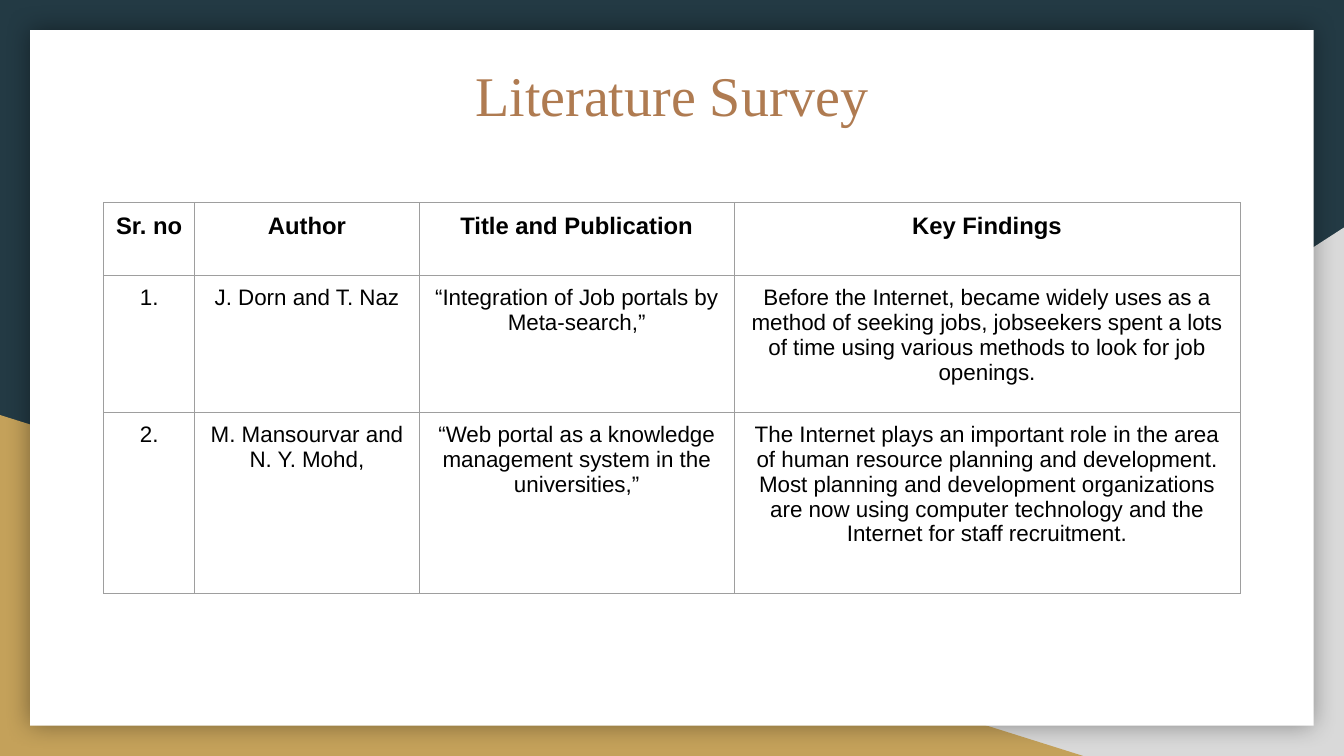
import pptx
import pptx.util
import pptx.dml.color
import pptx.enum.shapes
import pptx.enum.text
import pptx.oxml
import pptx.oxml.ns

SHAPE = pptx.enum.shapes.MSO_SHAPE
CENTER = pptx.enum.text.PP_ALIGN.CENTER
Inches = pptx.util.Inches
W, H = 13.33, 7.5
COLORS = {
    "navy": "233A44",
    "gray": "D9D9D9",
    "gold": "C4A15A",
    "white": "FFFFFF",
    "copper": "AF7B51",
    "black": "000000",
    "grid": "9E9E9E",
}
COLUMNS = [0.9, 2.23, 3.12, 5.02]
ROWS = [0.72, 1.36, 1.8]
SURVEY = [
    ["Sr. no", "Author", "Title and Publication", "Key Findings"],
    [
        "1.",
        "J. Dorn and T. Naz",
        "“Integration of Job portals by Meta-search,”",
        "Before the Internet, became widely uses as a method of seeking jobs, "
        "jobseekers spent a lots of time using various methods to look for job openings.",
    ],
    [
        "2.",
        "M. Mansourvar and N. Y. Mohd,",
        "“Web portal as a knowledge management system in the universities,”",
        "The Internet plays an important role in the area of human resource planning "
        "and development. Most planning and development organizations are now using "
        "computer technology and the Internet for staff recruitment.",
    ],
]


def rgb(name):
    return pptx.dml.color.RGBColor.from_string(COLORS[name])


def add_xml(parent, xml, index):
    ns = pptx.oxml.ns.nsdecls("a")
    parent.insert(index, pptx.oxml.parse_xml(xml.replace(" ", f" {ns} ", 1)))


def add_panel(slide, kind, box, color):
    s = slide.shapes.add_shape(kind, *map(Inches, box))
    s.shadow.inherit = False
    s.fill.solid()
    s.fill.fore_color.rgb = rgb(color)
    s.line.fill.background()
    return s


def write(tf, text, font, size, color, bold=False):
    tf.text = text
    tf.word_wrap = True
    p = tf.paragraphs[0]
    p.alignment = CENTER
    r = p.runs[0]
    r.font.name = font
    r.font.size = pptx.util.Pt(size)
    r.font.bold = bold
    r.font.color.rgb = rgb(color)


def add_backdrop(slide, box):
    left, top, width, height = box
    slide.background.fill.solid()
    slide.background.fill.fore_color.rgb = rgb("navy")
    gray_w, gray_h = 0.608 * width, 0.699 * height
    gray_box = (left + width - gray_w, top + height - gray_h, gray_w, gray_h)
    gray = add_panel(slide, SHAPE.RIGHT_TRIANGLE, gray_box, "gray")
    gray._element.spPr.xfrm.set("flipH", "1")
    gold_w, gold_h = 0.806 * width, 0.451 * height
    gold_box = (left, top + height - gold_h, gold_w, gold_h)
    add_panel(slide, SHAPE.RIGHT_TRIANGLE, gold_box, "gold")
    margin = 0.04 * height
    card_box = (left + margin, top + margin, width - 2 * margin, height - 2 * margin)
    card = add_panel(slide, SHAPE.RECTANGLE, card_box, "white")
    effects = card._element.spPr.find(pptx.oxml.ns.qn("a:effectLst"))
    blur = pptx.util.Pt(18)
    add_xml(
        effects,
        f'<a:outerShdw blurRad="{blur}" dist="0" dir="0" algn="ctr" rotWithShape="0">'
        f'<a:srgbClr val="{COLORS["black"]}"><a:alpha val="40000"/></a:srgbClr>'
        "</a:outerShdw>",
        0,
    )


def add_title(slide, box):
    s = add_panel(slide, SHAPE.RECTANGLE, box, "white")
    write(s.text_frame, "Literature Survey", "Times New Roman", 40, "copper")
    s.text_frame.vertical_anchor = pptx.enum.text.MSO_ANCHOR.MIDDLE


def add_borders(cell):
    tc_pr = cell._tc.get_or_add_tcPr()
    for i, side in enumerate("LRTB"):
        add_xml(
            tc_pr,
            f'<a:ln{side} w="{pptx.util.Pt(0.75)}"><a:solidFill>'
            f'<a:srgbClr val="{COLORS["grid"]}"/></a:solidFill></a:ln{side}>',
            i,
        )


def add_survey_table(slide, box):
    frame = slide.shapes.add_table(len(ROWS), len(COLUMNS), *map(Inches, box))
    table = frame.table
    table.horz_banding = False
    for column, share in zip(table.columns, COLUMNS):
        column.width = Inches(box[2] * share / sum(COLUMNS))
    for row, share in zip(table.rows, ROWS):
        row.height = Inches(box[3] * share / sum(ROWS))
    for i, texts in enumerate(SURVEY):
        for j, text in enumerate(texts):
            cell = table.cell(i, j)
            cell.fill.background()
            cell.margin_left = cell.margin_right = Inches(0.1)
            cell.margin_top = cell.margin_bottom = Inches(0.1)
            header = i == 0
            write(cell.text_frame, text, "Arial", 17 if header else 16, "black", header)
            add_borders(cell)


def main():
    prs = pptx.Presentation()
    prs.slide_width, prs.slide_height = Inches(W), Inches(H)
    slide = prs.slides.add_slide(prs.slide_layouts[6])
    add_backdrop(slide, (0, 0, W, H))
    add_title(slide, (0.52, 0.36, 12.29, 1.14))
    add_survey_table(slide, (1.03, 2.01, sum(COLUMNS), sum(ROWS)))
    prs.save("out.pptx")


if __name__ == "__main__":
    main()
